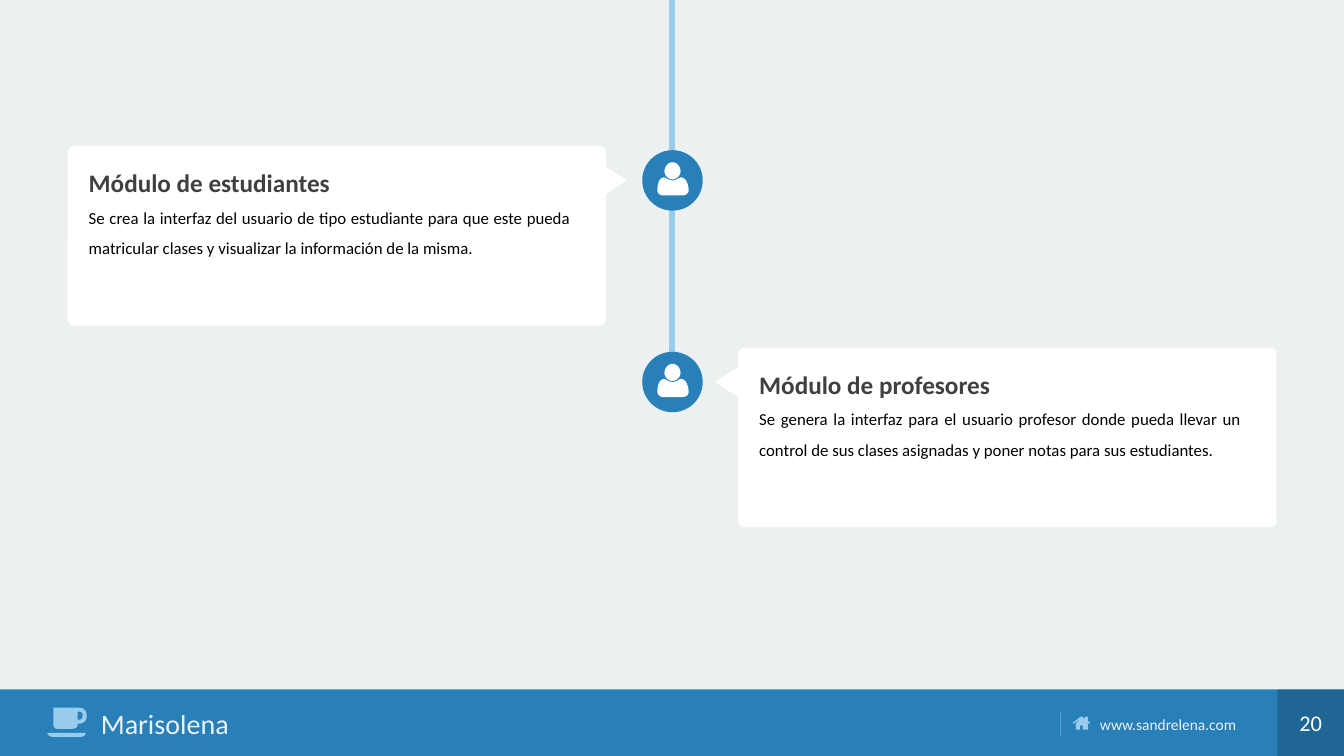
from lxml import etree
from pptx import Presentation
from pptx.dml.color import RGBColor
from pptx.enum.shapes import MSO_CONNECTOR, MSO_SHAPE
from pptx.enum.text import MSO_ANCHOR, MSO_AUTO_SIZE, PP_ALIGN
from pptx.oxml.ns import qn
from pptx.util import Inches, Pt

BLUE, LIGHT, WHITE = "2980B9", "99CBED", "FFFFFF"
WIDTH, HEIGHT = 13.33, 7.5
FOOTER_TOP, FOOTER_H = 6.84, 0.66
CENTER = 6.67

# Icon outlines: pairs are corners, sixes are curves (two controls, end)
CUP = [
    [(0.85, 7.27), (0.85, 7.29, 0.83, 7.31, 0.8, 7.31), (0.53, 7.31),
     (0.49, 7.31, 0.47, 7.29, 0.47, 7.27)],
    [(0.78, 7.18), (0.77, 7.18), (0.77, 7.19),
     (0.77, 7.21, 0.75, 7.23, 0.72, 7.23), (0.57, 7.23),
     (0.54, 7.23, 0.53, 7.21, 0.53, 7.19), (0.53, 7.02), (0.78, 7.02),
     (0.83, 7.02, 0.86, 7.05, 0.86, 7.1),
     (0.86, 7.15, 0.83, 7.18, 0.78, 7.18)],
    [(0.78, 7.06), (0.77, 7.06), (0.77, 7.14), (0.78, 7.14),
     (0.81, 7.14, 0.82, 7.12, 0.82, 7.1),
     (0.82, 7.07, 0.81, 7.06, 0.78, 7.06)],
]
HOUSE = [
    [(10.8, 7.18), (10.72, 7.13), (10.65, 7.18), (10.64, 7.17),
     (10.72, 7.11), (10.73, 7.11), (10.76, 7.13), (10.76, 7.11),
     (10.79, 7.11), (10.79, 7.15), (10.81, 7.17), (10.81, 7.18)],
    [(10.79, 7.24), (10.74, 7.24), (10.74, 7.2), (10.71, 7.2),
     (10.71, 7.24), (10.67, 7.24), (10.67, 7.18), (10.72, 7.13),
     (10.79, 7.18)],
]
# Person icon, measured from its top left corner
PERSON = [
    [(0.24, 0.33), (0.06, 0.33), (0.03, 0.33, 0, 0.31, 0, 0.28),
     (0, 0.23, 0.01, 0.15, 0.07, 0.15),
     (0.08, 0.15, 0.11, 0.18, 0.15, 0.18),
     (0.19, 0.18, 0.22, 0.15, 0.23, 0.15),
     (0.29, 0.15, 0.31, 0.23, 0.31, 0.28),
     (0.31, 0.31, 0.28, 0.33, 0.24, 0.33)],
    [(0.15, 0.17), (0.11, 0.17, 0.07, 0.13, 0.07, 0.09),
     (0.07, 0.04, 0.11, 0, 0.15, 0),
     (0.19, 0, 0.23, 0.04, 0.23, 0.09),
     (0.23, 0.13, 0.19, 0.17, 0.15, 0.17)],
]


def rgb(color):
    return RGBColor.from_string(color)


def paint(fill, element, color, alpha=None):
    fill.solid()
    fill.fore_color.rgb = rgb(color)
    if alpha is not None:
        clr = next(element.iter(qn("a:srgbClr")))
        etree.SubElement(clr, qn("a:alpha")).set("val", str(alpha * 1000))


def finish(sp, color, alpha=None):
    paint(sp.fill, sp._element, color, alpha)
    sp.line.fill.background()
    sp.shadow.inherit = False


def add_block(s, kind, x, y, w, h, color, alpha=None, rotation=0):
    sp = s.shapes.add_shape(kind, Inches(x), Inches(y), Inches(w), Inches(h))
    finish(sp, color, alpha)
    sp.rotation = rotation
    return sp


def add_line(s, x, top, bottom, color, weight):
    line = s.shapes.add_connector(MSO_CONNECTOR.STRAIGHT, Inches(x),
                                  Inches(top), Inches(x), Inches(bottom))
    line.line.color.rgb = rgb(color)
    line.line.width = Pt(weight)
    etree.SubElement(line._element.spPr, qn("a:effectLst"))


def flatten(contour, dx, dy, steps=8):
    """Turn the corners and curves of a contour into a list of points."""
    points = [contour[0]]
    for part in contour[1:]:
        if len(part) == 2:
            points.append(part)
            continue
        nodes = [points[-1], part[:2], part[2:4], part[4:]]
        for i in range(1, steps + 1):
            t = i / steps
            weights = ((1 - t) ** 3, 3 * t * (1 - t) ** 2,
                       3 * t * t * (1 - t), t ** 3)
            points.append(tuple(sum(k * n[axis] for k, n in zip(weights, nodes))
                                for axis in (0, 1)))
    return [(Inches(x + dx), Inches(y + dy)) for x, y in points]


def add_icon(s, contours, color, dx=0, dy=0):
    first, *others = [flatten(c, dx, dy) for c in contours]
    builder = s.shapes.build_freeform(*first[0])
    builder.add_line_segments(first[1:])
    for points in others:
        builder.move_to(*points[0])
        builder.add_line_segments(points[1:])
    finish(builder.convert_to_shape(), color)


def add_textbox(s, x, y, w, h, wrap=True):
    box = s.shapes.add_textbox(Inches(x), Inches(y), Inches(w), Inches(h))
    tf = box.text_frame
    tf.word_wrap = wrap
    tf.auto_size = MSO_AUTO_SIZE.SHAPE_TO_FIT_TEXT
    tf.margin_left = tf.margin_right = tf.margin_top = tf.margin_bottom = 0
    return tf


def write(p, text, size, color, alpha=None, bold=False, align=None, spacing=None):
    p.alignment = align
    p.line_spacing = spacing
    r = p.add_run()
    r.text = text
    r.font.name = "Calibri"
    r.font.size = Pt(size)
    r.font.bold = bold
    paint(r.font.fill, r._r, color, alpha)


def add_footer(s):
    add_block(s, MSO_SHAPE.RECTANGLE, 0, FOOTER_TOP, WIDTH, FOOTER_H, BLUE)
    add_icon(s, CUP, LIGHT)
    tf = add_textbox(s, 1, 7.01, 1.72, 0.34)
    write(tf.paragraphs[0], "Marisolena", 20, WHITE, alpha=90)
    add_line(s, 10.52, 7.06, 7.3, "5B9BD5", 1)
    add_icon(s, HOUSE, LIGHT)
    tf = add_textbox(s, 10.91, 7.09, 1.52, 0.19, wrap=False)
    write(tf.paragraphs[0], "www.sandrelena.com", 11, WHITE, alpha=90)

    # Page number
    page = add_block(s, MSO_SHAPE.RECTANGLE, 12.67, FOOTER_TOP, 0.66, FOOTER_H,
                     "000000", alpha=20)
    page.text_frame.vertical_anchor = MSO_ANCHOR.MIDDLE
    write(page.text_frame.paragraphs[0], "20", 16, WHITE, align=PP_ALIGN.CENTER)


def add_milestone(s, y, card_x, pointer_x, rotation, title, body):
    # Marker on the timeline
    add_block(s, MSO_SHAPE.OVAL, CENTER - 0.3, y, 0.6, 0.6, BLUE)
    add_icon(s, PERSON, WHITE, CENTER - 0.15, y + 0.12)

    # Card with its pointer
    card = add_block(s, MSO_SHAPE.ROUNDED_RECTANGLE, card_x, y - 0.04,
                     5.34, 1.78, WHITE)
    card.adjustments[0] = 0.032
    add_block(s, MSO_SHAPE.ISOSCELES_TRIANGLE, pointer_x, y + 0.16, 0.36, 0.28,
              WHITE, rotation=rotation)
    tf = add_textbox(s, card_x + 0.21, y + 0.05, 4.78, 1.03)
    write(tf.paragraphs[0], title, 18, "404040", bold=True, spacing=1.4)
    write(tf.add_paragraph(), body, 12, "000000",
          align=PP_ALIGN.JUSTIFY, spacing=1.5)


def main():
    prs = Presentation()
    prs.slide_width, prs.slide_height = Inches(WIDTH), Inches(HEIGHT)
    s = prs.slides.add_slide(prs.slide_layouts[6])
    s.background.fill.solid()
    s.background.fill.fore_color.rgb = rgb("ECF0F1")

    add_footer(s)

    # Timeline
    add_line(s, CENTER, 0, 3.79, LIGHT, 4.25)
    add_milestone(s, 1.49, 0.67, 5.9, 90, "Módulo de estudiantes",
                  "Se crea la interfaz del usuario de tipo estudiante para que "
                  "este pueda matricular clases y visualizar la información de "
                  "la misma.")
    add_milestone(s, 3.49, 7.32, 7.05, 270, "Módulo de profesores",
                  "Se genera la interfaz para el usuario profesor donde pueda "
                  "llevar un control de sus clases asignadas y poner notas para "
                  "sus estudiantes.")

    prs.save("out.pptx")


if __name__ == "__main__":
    main()
